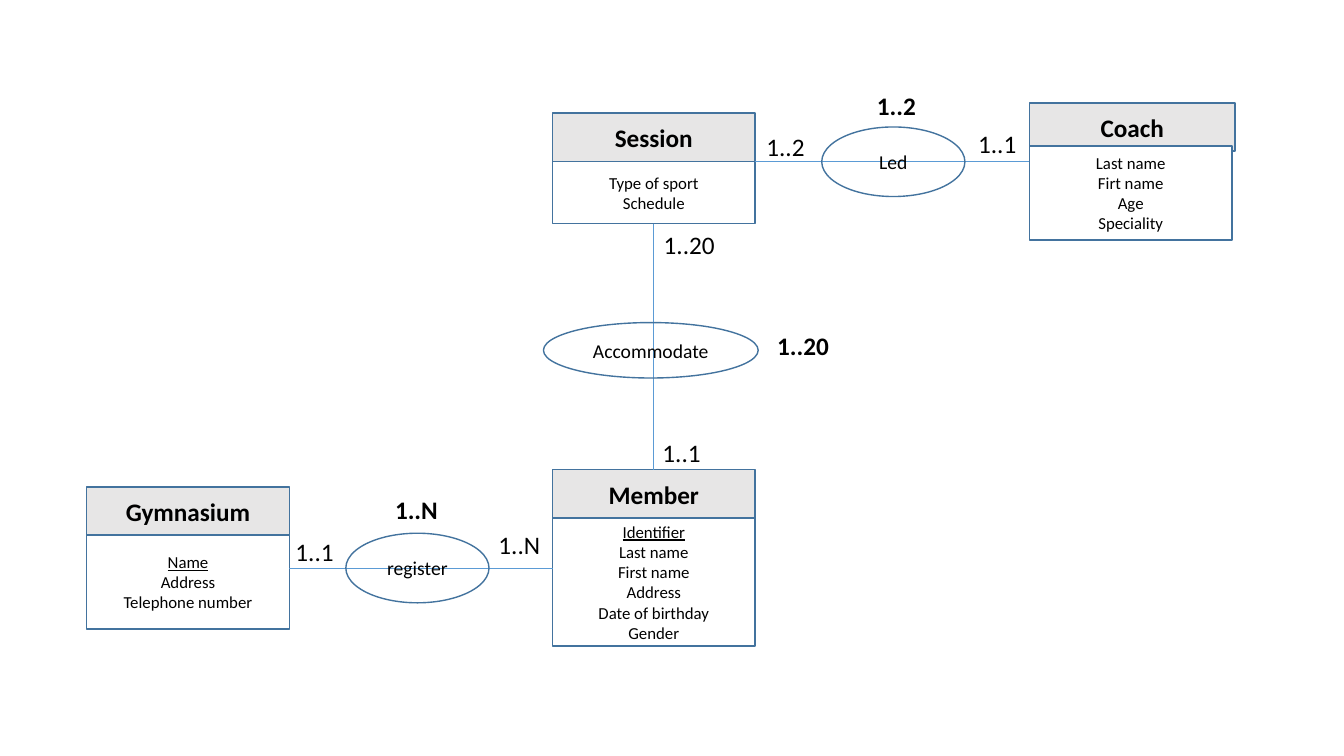
from pptx import Presentation
from pptx.dml.color import RGBColor
from pptx.enum.shapes import MSO_CONNECTOR as Connector, MSO_SHAPE as Shape
from pptx.enum.text import MSO_ANCHOR as Anchor, PP_ALIGN as Align
from pptx.oxml.ns import qn
from pptx.util import Inches, Pt
from lxml import etree

OUTLINE, LINK, HEADER, WHITE, BLACK = "43739E", "5B9BD5", "E7E6E6", "FFFFFF", "000000"
HEADER_HEIGHT = 0.48
LABEL_HEIGHT = 0.4

# name: (left, top, header width, attributes top, attributes height, attributes, key)
ENTITIES = {
    "Member": (5.48, 4.66, 2.01, 5.14, 1.27,
               ["Identifier", "Last name", "First name", "Address",
                "Date of birthday", "Gender"], "Identifier"),
    "Session": (5.48, 1.12, 2.01, 1.6, 0.62, ["Type of sport", "Schedule"], None),
    "Gymnasium": (0.86, 4.83, 2.01, 5.31, 0.93,
                  ["Name", "Address", "Telephone number"], "Name"),
    "Coach": (10.21, 1.02, 2.04, 1.45, 0.93,
              ["Last name", "Firt name", "Age", "Speciality"], None),
}
ATTRIBUTES_WIDTH = 2.01

# name: (ellipse box, link start, link end)
RELATIONS = {
    "register": ((3.43, 5.29, 1.42, 0.69), (2.87, 5.64), (5.48, 5.64)),
    "Accommodate": ((5.39, 3.2, 2.13, 0.55), (6.49, 2.22), (6.49, 4.66)),
    "Led": ((8.15, 1.26, 1.42, 0.69), (7.49, 1.6), (10.21, 1.6)),
}

# (text, left, top, width, bold)
CARDINALITIES = [
    ("1..1", 2.78, 5.27, 0.68, False),
    ("1..N", 4.81, 5.2, 0.68, False),
    ("1..20", 6.39, 2.23, 0.89, False),
    ("1..1", 6.42, 4.29, 0.68, False),
    ("1..2", 7.45, 1.25, 0.68, False),
    ("1..1", 9.55, 1.22, 0.68, False),
    ("1..2", 8.55, 0.85, 0.68, True),
    ("1..20", 7.52, 3.23, 0.89, True),
    ("1..N", 3.79, 4.85, 0.68, True),
]


def color(value):
    return RGBColor.from_string(value)


def write_lines(shape, lines, size, bold=False, underlined=None, anchor=Anchor.MIDDLE):
    """Write one centred paragraph per line, underlining the key attribute."""
    frame = shape.text_frame
    frame.word_wrap = True
    frame.vertical_anchor = anchor
    for index, line in enumerate(lines):
        para = frame.paragraphs[0] if index == 0 else frame.add_paragraph()
        para.alignment = Align.CENTER
        span = para.add_run()
        span.text = line
        formats = {"name": "Calibri", "size": Pt(size), "bold": bold,
                   "underline": line == underlined}
        for name, value in formats.items():
            setattr(span.font, name, value)
        span.font.color.rgb = color(BLACK)


def add_outlined(slide, kind, box, fill=None):
    shape = slide.shapes.add_shape(kind, *map(Inches, box))
    shape.shadow.inherit = False
    if fill:
        shape.fill.solid()
        shape.fill.fore_color.rgb = color(fill)
    else:
        shape.fill.background()
    shape.line.color.rgb = color(OUTLINE)
    shape.line.width = Pt(1)
    return shape


def add_entity(slide, name, left, top, width, body_top, body_height, attributes, key):
    """Draw a header over its attribute list and return both shapes."""
    header = add_outlined(slide, Shape.RECTANGLE, (left, top, width, HEADER_HEIGHT), HEADER)
    write_lines(header, [name], 18, bold=True)
    body = add_outlined(slide, Shape.RECTANGLE,
                        (left, body_top, ATTRIBUTES_WIDTH, body_height), WHITE)
    write_lines(body, attributes, 12, underlined=key)
    body.text_frame.margin_top = body.text_frame.margin_bottom = 0
    return header, body


def add_relation(slide, name, box, start, end):
    """Draw a link with its named ellipse on top and return the link."""
    link = slide.shapes.add_connector(Connector.STRAIGHT, *map(Inches, start + end))
    link.line.color.rgb = color(LINK)
    link.line.width = Pt(0.5)
    etree.SubElement(link._element.spPr, qn("a:effectLst"))
    ellipse = add_outlined(slide, Shape.OVAL, box)
    write_lines(ellipse, [name], 14)
    return link


def add_cardinality(slide, text, left, top, width, bold):
    label = slide.shapes.add_textbox(*map(Inches, (left, top, width, LABEL_HEIGHT)))
    write_lines(label, [text], 18, bold=bold, anchor=Anchor.TOP)


def main():
    deck = Presentation()
    deck.slide_width, deck.slide_height = Inches(13.33), Inches(7.5)
    slide = deck.slides.add_slide(deck.slide_layouts[6])
    entities = {name: add_entity(slide, name, *parts) for name, parts in ENTITIES.items()}
    links = {name: add_relation(slide, name, *parts) for name, parts in RELATIONS.items()}
    member_header = entities["Member"][0]
    session_body = entities["Session"][1]
    links["Accommodate"].begin_connect(session_body, 2)
    links["Accommodate"].end_connect(member_header, 0)
    for cardinality in CARDINALITIES:
        add_cardinality(slide, *cardinality)
    deck.save("out.pptx")


if __name__ == "__main__":
    main()
